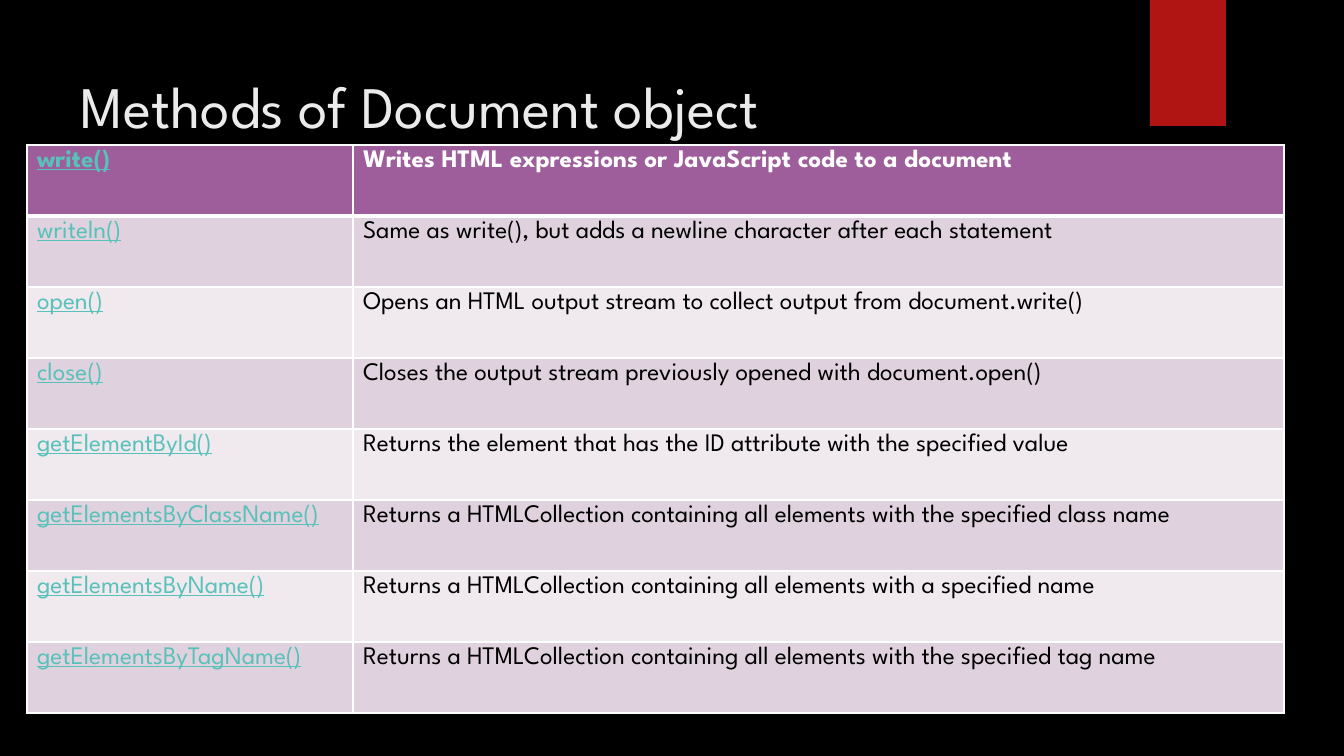
from lxml import etree
from pptx import Presentation, util as u
from pptx.dml.color import RGBColor
from pptx.enum import shapes, text
from pptx.oxml import ns

EMU_PER_PX = 914400 / 100.8
FONT = "League Spartan"
BLACK = RGBColor(0x00, 0x00, 0x00)
WHITE = RGBColor(0xFF, 0xFF, 0xFF)
TITLE_GREY = RGBColor(0xEB, 0xEB, 0xEB)
RED = RGBColor(0xB0, 0x15, 0x13)
TEAL = RGBColor(0x58, 0xC1, 0xBA)
PURPLE = RGBColor(0x9E, 0x5E, 0x9B)
BANDS = (RGBColor(0xF0, 0xEA, 0xEF), RGBColor(0xDF, 0xD2, 0xDE))

METHODS = [
    ("write()", "Writes HTML expressions or JavaScript code to a document"),
    ("writeln()", "Same as write(), but adds a newline character after each statement"),
    ("open()", "Opens an HTML output stream to collect output from document.write()"),
    ("close()", "Closes the output stream previously opened with document.open()"),
    ("getElementById()", "Returns the element that has the ID attribute with the specified value"),
    ("getElementsByClassName()",
     "Returns a HTMLCollection containing all elements with the specified class name"),
    ("getElementsByName()", "Returns a HTMLCollection containing all elements with a specified name"),
    ("getElementsByTagName()",
     "Returns a HTMLCollection containing all elements with the specified tag name"),
]


def px(length):
    return u.Emu(round(length * EMU_PER_PX))


def add_run(paragraph, words, size, color, bold=False, underline=False):
    run = paragraph.add_run()
    run.text = words
    font = run.font
    font.name, font.size, font.bold, font.underline = FONT, u.Pt(size), bold, underline
    font.color.rgb = color


def add_red_tab(slide, box):
    tab = slide.shapes.add_shape(shapes.MSO_SHAPE.RECTANGLE, *map(px, box))
    tab.shadow.inherit = False
    tab.fill.solid()
    tab.fill.fore_color.rgb = RED
    tab.line.fill.background()


def add_title(slide, box, words):
    frame = slide.shapes.add_textbox(*map(px, box)).text_frame
    frame.word_wrap = True
    frame.vertical_anchor = text.MSO_ANCHOR.TOP
    frame.margin_top = px(20)
    add_run(frame.paragraphs[0], words, 42, TITLE_GREY)


def set_borders(cell, top, bottom):
    """Draw white cell edges; top and bottom are widths in points."""
    properties = cell._tc.get_or_add_tcPr()
    edges = (("lnL", 1), ("lnR", 1), ("lnT", top), ("lnB", bottom))
    for position, (edge, width) in enumerate(edges):
        line = etree.Element(ns.qn(f"a:{edge}"), w=str(u.Pt(width)))
        fill = etree.SubElement(line, ns.qn("a:solidFill"))
        etree.SubElement(fill, ns.qn("a:srgbClr"), val=str(WHITE))
        properties.insert(position, line)


def add_methods_table(slide, box, name_width):
    left, top, width, height = box
    table = slide.shapes.add_table(len(METHODS), 2, *map(px, box)).table
    table.columns[0].width = px(name_width)
    table.columns[1].width = px(width - name_width)
    for index, method in enumerate(METHODS):
        header = index == 0
        table.rows[index].height = px(height / len(METHODS))
        description_color = WHITE if header else BLACK
        for column, words in enumerate(method):
            cell = table.cell(index, column)
            cell.fill.solid()
            cell.fill.fore_color.rgb = PURPLE if header else BANDS[index % 2]
            set_borders(cell, top=3 if index == 1 else 1, bottom=3 if header else 1)
            is_name = column == 0
            add_run(cell.text_frame.paragraphs[0], words, 18,
                    TEAL if is_name else description_color,
                    bold=header, underline=is_name)


def main():
    deck = Presentation()
    deck.slide_width, deck.slide_height = px(1344), px(756)
    slide = deck.slides.add_slide(deck.slide_layouts[6])
    slide.background.fill.solid()
    slide.background.fill.fore_color.rgb = BLACK
    add_red_tab(slide, (1150, 0, 76, 126))
    add_title(slide, (71, 50, 1038, 154), "Methods of Document object")
    add_methods_table(slide, (27, 145, 1257, 568), name_width=326)
    deck.save("out.pptx")


if __name__ == "__main__":
    main()
